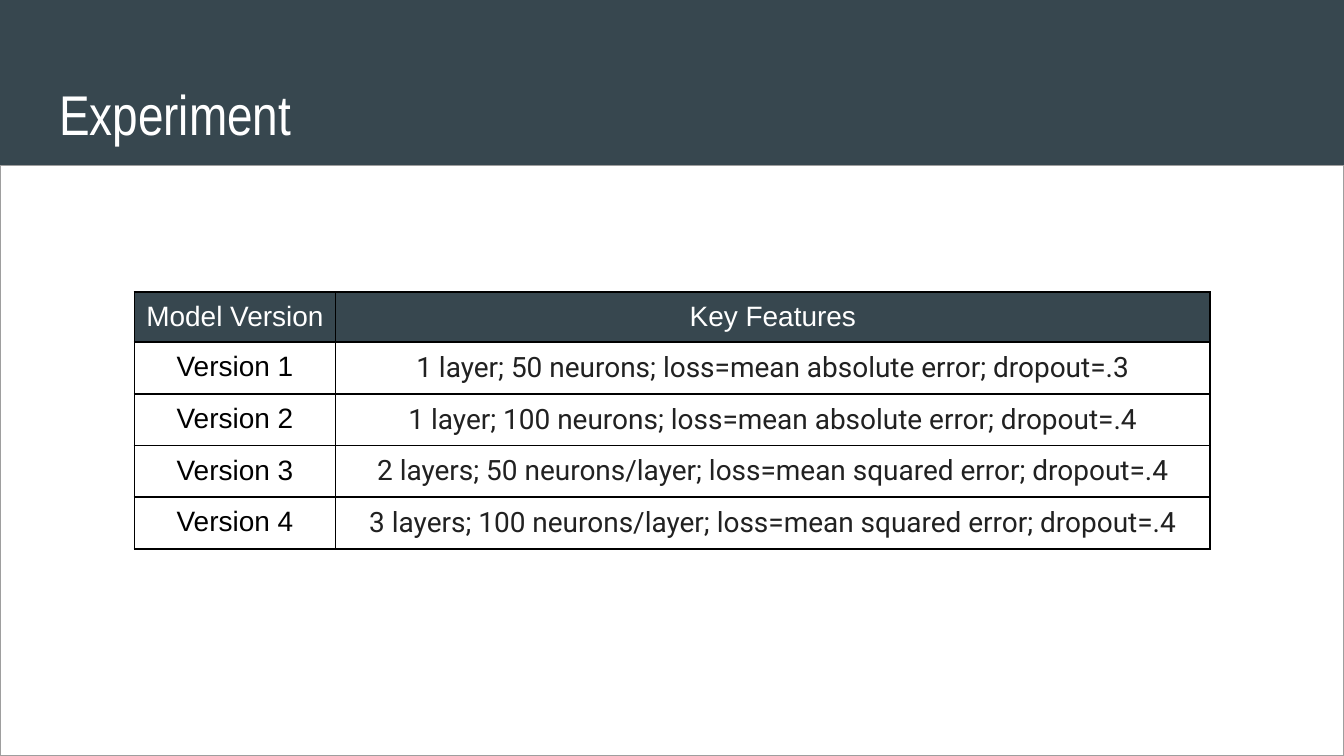
from lxml import etree
from pptx import Presentation
from pptx.dml.color import RGBColor
from pptx.enum import shapes, text
from pptx.oxml import ns
from pptx.util import Pt

TITLE = "Experiment"
HEADER = ("Model Version", "Key Features")
VERSIONS = [
    ("Version 1", "1 layer; 50 neurons; loss=mean absolute error; dropout=.3"),
    ("Version 2", "1 layer; 100 neurons; loss=mean absolute error; dropout=.4"),
    ("Version 3", "2 layers; 50 neurons/layer; loss=mean squared error; dropout=.4"),
    ("Version 4", "3 layers; 100 neurons/layer; loss=mean squared error; dropout=.4"),
]
THEME = {
    "slate": "37474F", "white": "FFFFFF", "black": "000000",
    "ink": "212121", "outline": "9E9E9E",
    "title_font": "Arial Narrow", "label_font": "Arial", "feature_font": "Roboto",
    "title_size": 30, "table_size": 15,
}
WIDTH, HEIGHT = 720, 405
BAND_HEIGHT = 88.5
TABLE_LEFT, TABLE_TOP = 72, 156.5
COLUMN_WIDTHS = (107.8, 468.6)
HEADER_HEIGHT, ROW_HEIGHT = 26.8, 27.7
CELL_MARGIN = 5


def color(name):
    return RGBColor.from_string(THEME[name])


def format_text(paragraph, font, size, ink):
    for run in paragraph.runs:
        run.font.name = THEME[font]
        run.font.size = Pt(THEME[size])
        run.font.bold = False
        run.font.color.rgb = color(ink)


def set_margins(target, margin):
    target.margin_left = target.margin_right = Pt(margin)
    target.margin_top = target.margin_bottom = Pt(margin)


def add_borders(cell):
    properties = cell._tc.get_or_add_tcPr()
    for index, side in enumerate(("a:lnL", "a:lnR", "a:lnT", "a:lnB")):
        line = etree.Element(ns.qn(side), w=str(Pt(1)))
        fill = etree.SubElement(line, ns.qn("a:solidFill"))
        etree.SubElement(fill, ns.qn("a:srgbClr"), val=THEME["black"])
        properties.insert(index, line)


def add_panel(slide):
    panel = slide.shapes.add_shape(
        shapes.MSO_SHAPE.RECTANGLE, 0, Pt(BAND_HEIGHT), Pt(WIDTH), Pt(HEIGHT - BAND_HEIGHT))
    panel.shadow.inherit = False
    panel.fill.solid()
    panel.fill.fore_color.rgb = color("white")
    panel.line.color.rgb = color("outline")
    panel.line.width = Pt(0.75)


def add_title(slide):
    title = slide.shapes.title
    title.left, title.top, title.width, title.height = Pt(24.5), Pt(35.3), Pt(672), Pt(45.4)
    frame = title.text_frame
    frame.text = TITLE
    frame.word_wrap = True
    frame.auto_size = text.MSO_AUTO_SIZE.NONE
    frame.vertical_anchor = text.MSO_ANCHOR.TOP
    set_margins(frame, 7.2)
    paragraph = frame.paragraphs[0]
    paragraph.alignment = text.PP_ALIGN.LEFT
    format_text(paragraph, "title_font", "title_size", "white")


def add_versions_table(slide):
    rows = [HEADER, *VERSIONS]
    heights = [HEADER_HEIGHT] + [ROW_HEIGHT] * len(VERSIONS)
    table = slide.shapes.add_table(
        len(rows), len(HEADER), Pt(TABLE_LEFT), Pt(TABLE_TOP),
        Pt(sum(COLUMN_WIDTHS)), Pt(sum(heights))).table
    for column, width in zip(table.columns, COLUMN_WIDTHS):
        column.width = Pt(width)
    for row_index, (values, height) in enumerate(zip(rows, heights)):
        table.rows[row_index].height = Pt(height)
        for column_index, value in enumerate(values):
            cell = table.cell(row_index, column_index)
            cell.text_frame.text = value
            set_margins(cell, CELL_MARGIN)
            if row_index == 0:
                cell.fill.solid()
                cell.fill.fore_color.rgb = color("slate")
                font, ink = "label_font", "white"
            else:
                cell.fill.background()
                font, ink = (("label_font", "black"), ("feature_font", "ink"))[column_index]
            paragraph = cell.text_frame.paragraphs[0]
            paragraph.alignment = text.PP_ALIGN.CENTER
            format_text(paragraph, font, "table_size", ink)
            add_borders(cell)


def main():
    presentation = Presentation()
    presentation.slide_width, presentation.slide_height = Pt(WIDTH), Pt(HEIGHT)
    slide = presentation.slides.add_slide(presentation.slide_layouts.get_by_name("Title Only"))
    slide.background.fill.solid()
    slide.background.fill.fore_color.rgb = color("slate")
    add_panel(slide)
    add_title(slide)
    add_versions_table(slide)
    presentation.save("out.pptx")


if __name__ == "__main__":
    main()
